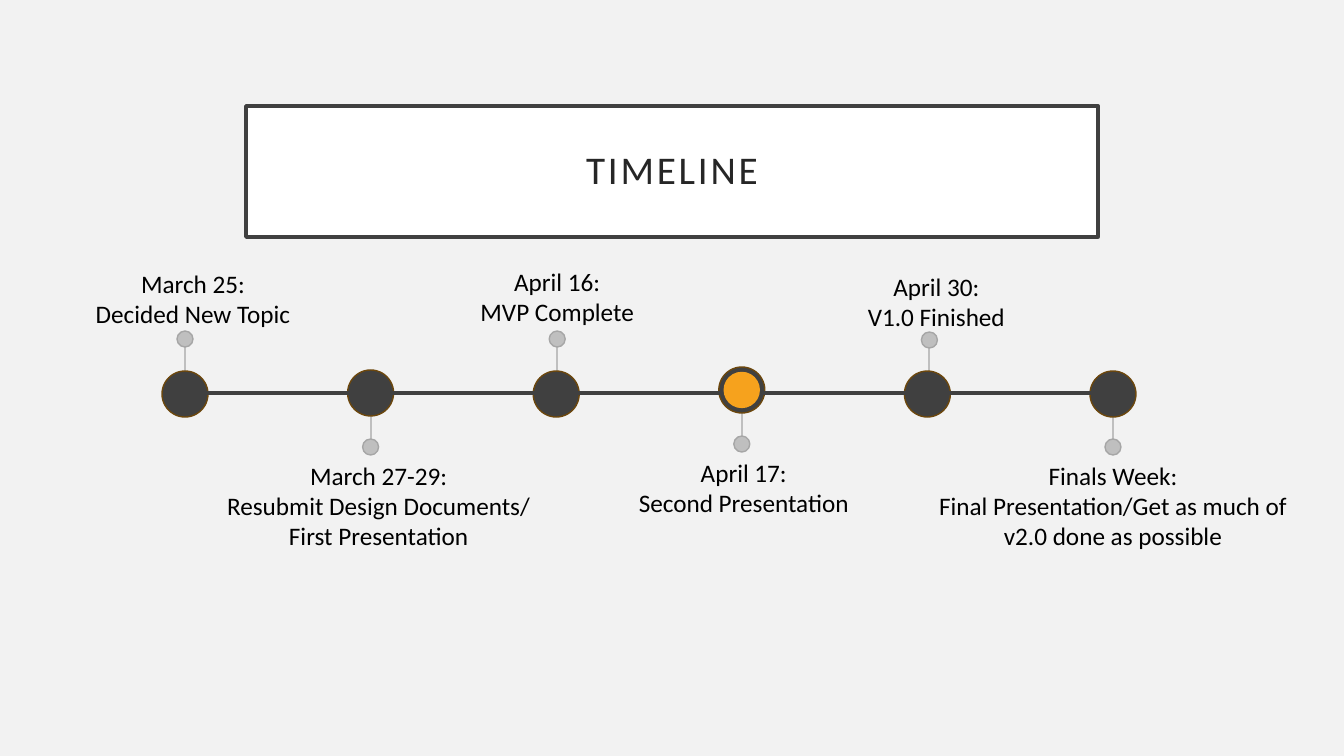
from collections import namedtuple

from lxml.etree import SubElement
from pptx import Presentation
from pptx.dml.color import RGBColor
from pptx.enum.shapes import MSO_CONNECTOR, MSO_SHAPE
from pptx.enum.text import MSO_ANCHOR, MSO_AUTO_SIZE, PP_ALIGN
from pptx.oxml.ns import qn
from pptx.util import Pt

EMU_PER_PX = 914400 / 100.8
FONT = "Calibri"
PAPER, WHITE, DARK, INK = "F2F2F2", "FFFFFF", "404040", "262626"
BLACK, BROWN, ORANGE = "000000", "6C470D", "F6A21D"
DOT_GREY, DOT_EDGE = "BFBFBF", "A6A6A6"
MARKER, DOT, STEM, LINE_HEIGHT = 46, 16, 24, 30

# Offsets in px: lift of the marker, shift of the pin, y of the dot centre
# from the axis, then centre (from the marker) and top (from the axis) of the label
Milestone = namedtuple(
    "Milestone", "lines lift pin_shift dot_y label_shift label_top label_width")
MILESTONES = [
    Milestone(["March 25:", "Decided New Topic"], 0, 0, -54, 8, -130, 223),
    Milestone(["March 27-29:", "Resubmit Design Documents/", "First Presentation"],
              1, 0, 54, 8, 62, 328),
    Milestone(["April 16:", "MVP Complete"], 0, 1, -54, 1, -132, 178),
    Milestone(["April 17:", "Second Presentation"], 4, 0, 51, 2, 59, 232),
    Milestone(["April 30:", "V1.0 Finished"], 0, 2, -53, 9, -127, 157),
    Milestone(["Finals Week:", "Final Presentation/Get as much of",
               "v2.0 done as possible"], 0, 0, 54, 0, 62, 368),
]
CURRENT = 3


def px(length):
    return round(length * EMU_PER_PX)


def color(hex_string):
    return RGBColor.from_string(hex_string)


def add_box(slide, preset, left, top, width, height, fill, edge, weight):
    box = slide.shapes.add_shape(preset, px(left), px(top), px(width), px(height))
    box.shadow.inherit = False
    box.fill.solid()
    box.fill.fore_color.rgb = color(fill)
    box.line.color.rgb = color(edge)
    box.line.width = Pt(weight)
    return box


def add_circle(slide, center_x, center_y, size, fill, edge):
    add_box(slide, MSO_SHAPE.OVAL, center_x - size / 2, center_y - size / 2,
            size, size, fill, edge, 1)


def add_line(slide, x1, y1, x2, y2, stroke, weight):
    line = slide.shapes.add_connector(
        MSO_CONNECTOR.STRAIGHT, px(x1), px(y1), px(x2), px(y2))
    line.line.color.rgb = color(stroke)
    line.line.width = Pt(weight)
    SubElement(line._element.spPr, qn("a:effectLst"))


def add_run(paragraph, text, size, ink):
    paragraph.alignment = PP_ALIGN.CENTER
    run = paragraph.add_run()
    run.text = text
    run.font.name = FONT
    run.font.size = Pt(size)
    run.font.color.rgb = color(ink)
    return run


def add_title(slide, left, top, width, height):
    banner = add_box(slide, MSO_SHAPE.RECTANGLE, left, top, width, height,
                     WHITE, DARK, 2.5)
    frame = banner.text_frame
    frame.word_wrap = True
    frame.vertical_anchor = MSO_ANCHOR.MIDDLE
    frame.margin_left = frame.margin_right = px(20)
    frame.margin_top = frame.margin_bottom = px(20)
    frame.paragraphs[0].line_spacing = 0.9
    heading = add_run(frame.paragraphs[0], "TIMELINE", 28, INK)
    heading.font._element.set("spc", "200")


def add_pin(slide, x, axis_y, dot_y):
    # Stem from the dot's rim towards the marker
    direction = 1 if dot_y > 0 else -1
    rim = axis_y + dot_y - direction * DOT / 2
    add_line(slide, x, rim, x, rim - direction * STEM, DOT_GREY, 1.5)
    add_circle(slide, x, axis_y + dot_y, DOT, DOT_GREY, DOT_EDGE)


def add_label(slide, center_x, top, width, lines):
    label = slide.shapes.add_textbox(px(center_x - width / 2), px(top), px(width),
                                     px(LINE_HEIGHT * len(lines) + 11))
    frame = label.text_frame
    frame.word_wrap = False
    frame.auto_size = MSO_AUTO_SIZE.SHAPE_TO_FIT_TEXT
    for index, text in enumerate(lines):
        paragraph = frame.add_paragraph() if index else frame.paragraphs[0]
        add_run(paragraph, text, 18, BLACK)


def add_timeline(slide, left, axis_y, width):
    step = width / (len(MILESTONES) - 1)
    stops = [(left + step * i, milestone) for i, milestone in enumerate(MILESTONES)]

    # Pins lie behind the markers, the axis in front of them
    for x, milestone in stops:
        add_pin(slide, x + milestone.pin_shift, axis_y, milestone.dot_y)
    for x, milestone in stops:
        add_circle(slide, x, axis_y + 1 - milestone.lift, MARKER, DARK, BROWN)
    add_line(slide, left, axis_y, left + width, axis_y, DARK, 3)

    # Labels
    for x, milestone in stops:
        add_label(slide, x + milestone.label_shift, axis_y + milestone.label_top,
                  milestone.label_width, milestone.lines)

    # Highlight of the current milestone
    x, milestone = stops[CURRENT]
    add_circle(slide, x, axis_y + 1 - milestone.lift, 35, ORANGE, ORANGE)


def main():
    deck = Presentation()
    deck.slide_width, deck.slide_height = px(1344), px(756)
    slide = deck.slides.add_slide(deck.slide_layouts[6])
    slide.background.fill.solid()
    slide.background.fill.fore_color.rgb = color(PAPER)
    add_title(slide, 246, 106, 852, 131)
    add_timeline(slide, 185, 393, 928)
    deck.save("out.pptx")


if __name__ == "__main__":
    main()
